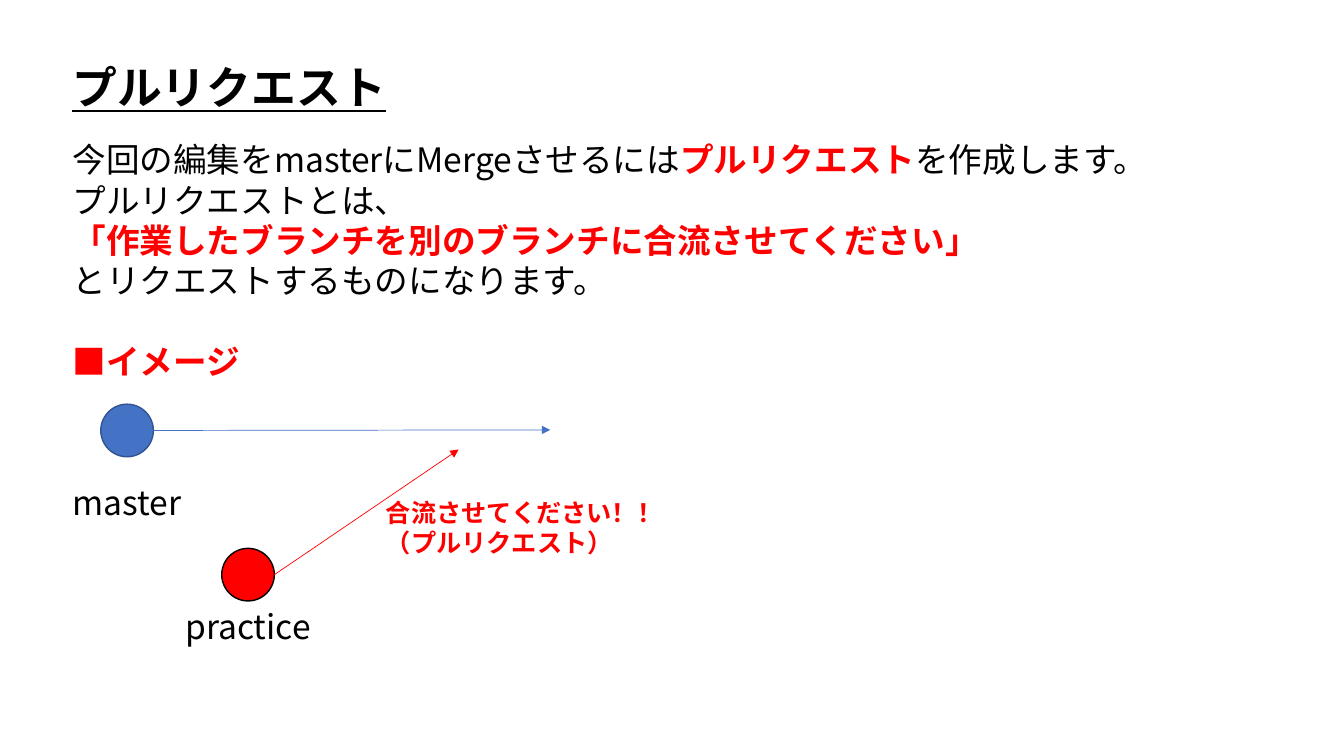
"""Build a slide that explains pull requests with a branch diagram."""
from dataclasses import dataclass

import lxml.etree
import pptx
import pptx.dml.color
import pptx.enum.shapes
import pptx.enum.text
import pptx.oxml.ns
import pptx.slide
import pptx.util

Pt = pptx.util.Pt
RGBColor = pptx.dml.color.RGBColor

FONT_NAME = "Noto Sans CJK JP"
BLACK = RGBColor(0x00, 0x00, 0x00)
RED = RGBColor(0xFF, 0x00, 0x00)
BLUE = RGBColor(0x44, 0x72, 0xC4)
DARK_BLUE = RGBColor(0x32, 0x54, 0x91)
LEFT = 44.64
COMMIT_SIZE = 37.6


@dataclass(frozen=True)
class Span:
    text: str
    emphasized: bool = False


@dataclass(frozen=True)
class Line:
    spans: tuple[Span, ...]
    space_before: float = 0


@dataclass(frozen=True)
class TextBlock:
    left: float
    top: float
    width: float
    height: float
    lines: tuple[Line, ...]
    size: float = 24
    heading: bool = False


@dataclass(frozen=True)
class Commit:
    left: float
    top: float
    fill: RGBColor
    outline: RGBColor


@dataclass(frozen=True)
class Arrow:
    start: tuple[float, float]
    end: tuple[float, float]
    color: RGBColor


def line(text: str, emphasized: bool = False, space_before: float = 0) -> Line:
    return Line((Span(text, emphasized),), space_before)


TEXT_BLOCKS = (
    TextBlock(LEFT, 38.9, 240.5, 46.1, (line("プルリクエスト"),), 32, heading=True),
    TextBlock(LEFT, 95.8, 793.4, 181.4, (
        Line((
            Span("今回の編集をmasterにMergeさせるには"),
            Span("プルリクエスト", True),
            Span("を作成します。"),
        )),
        line("プルリクエストとは、"),
        line("「作業したブランチを別のブランチに合流させてください」", True),
        line("とリクエストするものになります。"),
        line("■イメージ", True, space_before=29),
    )),
    TextBlock(LEFT, 340.6, 92.2, 36, (line("master"),)),
    TextBlock(125.3, 429.1, 104.4, 36, (line("practice"),)),
    TextBlock(268.6, 351.4, 214.6, 51.1, (
        line("合流させてください！！", True),
        line("（プルリクエスト）", True),
    ), 18),
)
COMMITS = (
    Commit(72, 288.7, BLUE, DARK_BLUE),
    Commit(158.4, 391.7, RED, BLACK),
)
ARROWS = (
    Arrow((109.6, 307.5), (393.1, 307.1), BLUE),
    Arrow((196, 410.5), (327.6, 321.1), RED),
)


def style_font(font: pptx.text.text.Font, span: Span, heading: bool) -> None:
    font.bold = span.emphasized or heading
    font.color.rgb = RED if span.emphasized else BLACK


def add_text_block(slide: pptx.slide.Slide, block: TextBlock) -> None:
    shape = slide.shapes.add_textbox(
        Pt(block.left), Pt(block.top), Pt(block.width), Pt(block.height))
    frame = shape.text_frame
    frame.word_wrap = False
    frame.auto_size = pptx.enum.text.MSO_AUTO_SIZE.SHAPE_TO_FIT_TEXT
    for index, content in enumerate(block.lines):
        paragraph = frame.add_paragraph() if index else frame.paragraphs[0]
        if content.space_before:
            paragraph.space_before = Pt(content.space_before)
        font = paragraph.font
        font.name = FONT_NAME
        font.size = Pt(block.size)
        if block.heading:
            font.underline = True
        if len(content.spans) == 1:
            style_font(font, content.spans[0], block.heading)
        east_asian = lxml.etree.SubElement(
            font._element, pptx.oxml.ns.qn("a:ea"))
        east_asian.set("typeface", FONT_NAME)
        for span in content.spans:
            run = paragraph.add_run()
            run.text = span.text
            if len(content.spans) > 1:
                style_font(run.font, span, block.heading)


def add_commit(slide: pptx.slide.Slide, commit: Commit) -> None:
    shape = slide.shapes.add_shape(
        pptx.enum.shapes.MSO_SHAPE.OVAL,
        Pt(commit.left), Pt(commit.top), Pt(COMMIT_SIZE), Pt(COMMIT_SIZE))
    shape.shadow.inherit = False
    shape.fill.solid()
    shape.fill.fore_color.rgb = commit.fill
    shape.line.color.rgb = commit.outline
    shape.line.width = Pt(1)


def add_arrow(slide: pptx.slide.Slide, arrow: Arrow) -> None:
    connector = slide.shapes.add_connector(
        pptx.enum.shapes.MSO_CONNECTOR.STRAIGHT,
        *map(Pt, arrow.start + arrow.end))
    connector.line.color.rgb = arrow.color
    connector.line.width = Pt(0.5)
    properties = connector._element.spPr
    outline = properties.find(pptx.oxml.ns.qn("a:ln"))
    lxml.etree.SubElement(
        outline, pptx.oxml.ns.qn("a:tailEnd")).set("type", "triangle")
    lxml.etree.SubElement(properties, pptx.oxml.ns.qn("a:effectLst"))


def main() -> None:
    presentation = pptx.Presentation()
    presentation.slide_width = Pt(960)
    presentation.slide_height = Pt(540)
    slide = presentation.slides.add_slide(presentation.slide_layouts[6])
    for commit in COMMITS:
        add_commit(slide, commit)
    for arrow in ARROWS:
        add_arrow(slide, arrow)
    for block in TEXT_BLOCKS:
        add_text_block(slide, block)
    presentation.save("out.pptx")


if __name__ == "__main__":
    main()
